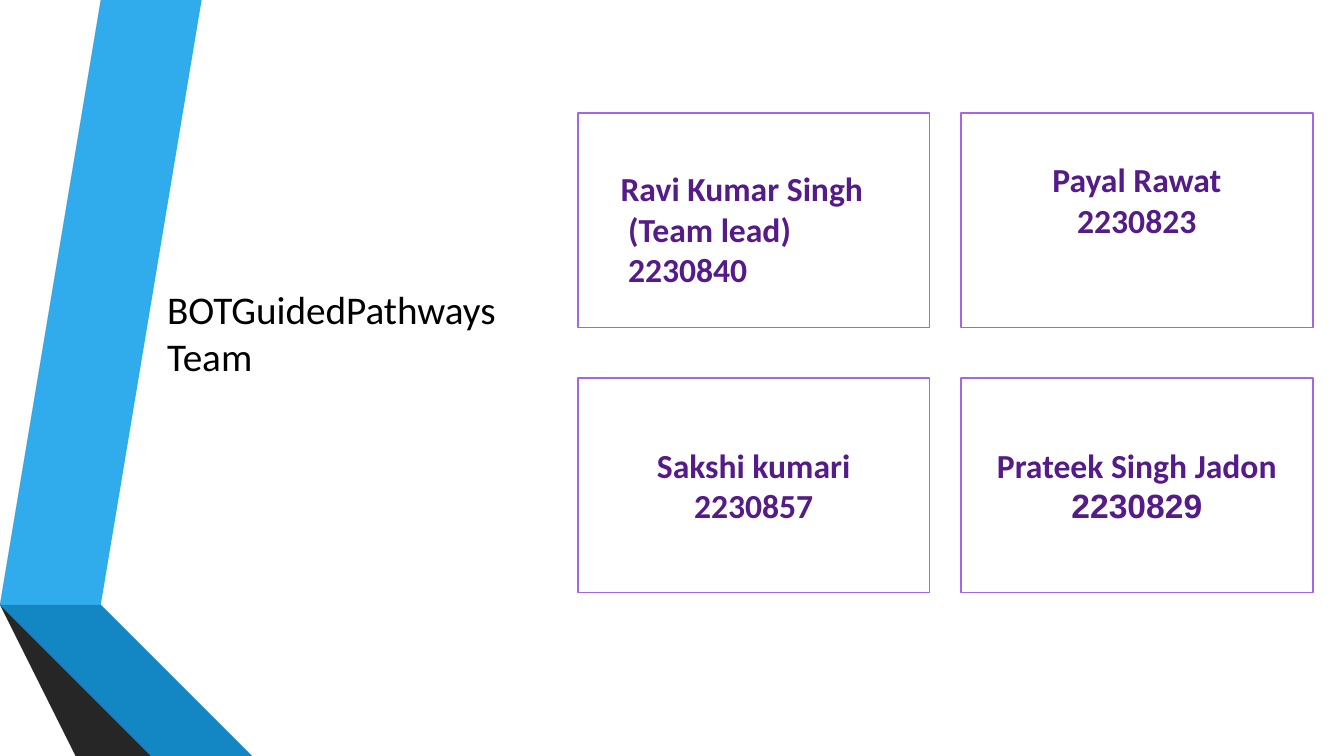
from pptx import Presentation
from pptx.dml.color import RGBColor
from pptx.enum.shapes import MSO_SHAPE
from pptx.enum.text import MSO_ANCHOR, PP_ALIGN
from pptx.util import Inches, Pt

COLORS = {
    "blue": "30ACEC", "deep blue": "1287C3", "blue edge": "0C5A82",
    "gray": "595959", "deep gray": "404040", "gray edge": "262626",
    "card": "FFFFFF", "border": "A666E1", "member": "541B89", "title": "000000",
}

# Back to front: colour and corners in inches
RIBBONS = [
    ("blue", [(0.5, 5.78), (0.77, 5.83), (1.73, 0), (1.45, 0)]),
    ("gray", [(1.39, 0), (1.11, 0), (0.16, 5.73), (0.44, 5.77)]),
    ("gray edge", [(0.16, 5.73), (1.45, 7.5), (1.51, 7.5)]),
    ("blue edge", [(0.5, 5.79), (2.08, 7.5), (2.14, 7.5)]),
    ("deep blue", [(0.5, 5.78), (2.14, 7.5), (2.83, 7.5), (0.77, 5.83)]),
    ("deep gray", [(2.02, 7.5), (0.44, 5.77), (0.16, 5.73), (1.51, 7.5)]),
]

GRID_LEFT, GRID_TOP = 5.73, 1.12
CARD_WIDTH, CARD_HEIGHT = 3.49, 2.13
COLUMN_STEP, ROW_STEP = 3.8, 2.63
LEVEL_INDENT = 0.5


def rgb(name):
    return RGBColor.from_string(COLORS[name])


def add_ribbon(slide, color, corners):
    outline = slide.shapes.build_freeform(*corners[0], scale=Inches(1))
    outline.add_line_segments(corners[1:], close=True)
    ribbon = outline.convert_to_shape()
    ribbon.shadow.inherit = False
    ribbon.fill.solid()
    ribbon.fill.fore_color.rgb = rgb(color)
    ribbon.line.fill.background()


def add_lines(frame, lines, size, color, bold=False, align=PP_ALIGN.LEFT):
    """Write one paragraph per (text, font) pair and return the paragraphs."""
    for number, (text, font) in enumerate(lines):
        paragraph = frame.add_paragraph() if number else frame.paragraphs[0]
        paragraph.alignment = align
        run = paragraph.add_run()
        run.text = text
        run.font.name = font
        run.font.size = Pt(size)
        run.font.bold = bold
        run.font.color.rgb = rgb(color)
    return frame.paragraphs


def add_card(slide, column, row, name, number, number_font="Calibri", role=None):
    card = slide.shapes.add_shape(
        MSO_SHAPE.RECTANGLE,
        Inches(GRID_LEFT + column * COLUMN_STEP), Inches(GRID_TOP + row * ROW_STEP),
        Inches(CARD_WIDTH), Inches(CARD_HEIGHT))
    card.shadow.inherit = False
    card.fill.solid()
    card.fill.fore_color.rgb = rgb("card")
    card.line.color.rgb = rgb("border")
    card.line.width = Pt(1.25)
    frame = card.text_frame
    frame.word_wrap = True
    frame.vertical_anchor = MSO_ANCHOR.MIDDLE
    roles = [(role, "Calibri")] if role else []
    lines = [(name, "Calibri"), *roles, (number, number_font)]
    paragraphs = add_lines(frame, lines, 24, "member", True, PP_ALIGN.CENTER)
    if role:
        align_lead(frame, paragraphs)
    return frame


def align_lead(frame, paragraphs):
    """Set the lead's card from the top, with indented lines under the name."""
    frame.vertical_anchor = MSO_ANCHOR.TOP
    frame.margin_left, frame.margin_top = 0, Inches(0.35)
    frame.margin_right = Inches(0.16)
    paragraphs[0].line_spacing = 1.5
    for paragraph in paragraphs[1:]:
        paragraph.alignment = PP_ALIGN.LEFT
        paragraph.level = 1
        properties = paragraph._p.get_or_add_pPr()
        properties.set("marL", str(Inches(LEVEL_INDENT)))
        properties.set("indent", "0")


def add_title(slide, *lines):
    title = slide.shapes.add_textbox(
        Inches(1.56), Inches(2.78), Inches(3.87), Inches(1.51))
    title.text_frame.word_wrap = True
    add_lines(title.text_frame, [(line, "Calibri") for line in lines], 28, "title")


def main():
    deck = Presentation()
    deck.slide_width, deck.slide_height = Inches(13.33), Inches(7.5)
    slide = deck.slides.add_slide(deck.slide_layouts[6])

    for color, corners in RIBBONS:
        add_ribbon(slide, color, corners)

    payal = add_card(slide, 1, 0, "Payal Rawat", "2230823")
    payal.margin_bottom = Inches(0.46)
    add_card(slide, 0, 0, "Ravi Kumar Singh ", "2230840", role="(Team lead)")
    add_card(slide, 0, 1, "Sakshi kumari", "2230857")
    add_card(slide, 1, 1, "Prateek Singh Jadon", "2230829", number_font="Arial")
    add_title(slide, "BOTGuidedPathways", "Team")

    deck.save("out.pptx")


if __name__ == "__main__":
    main()
